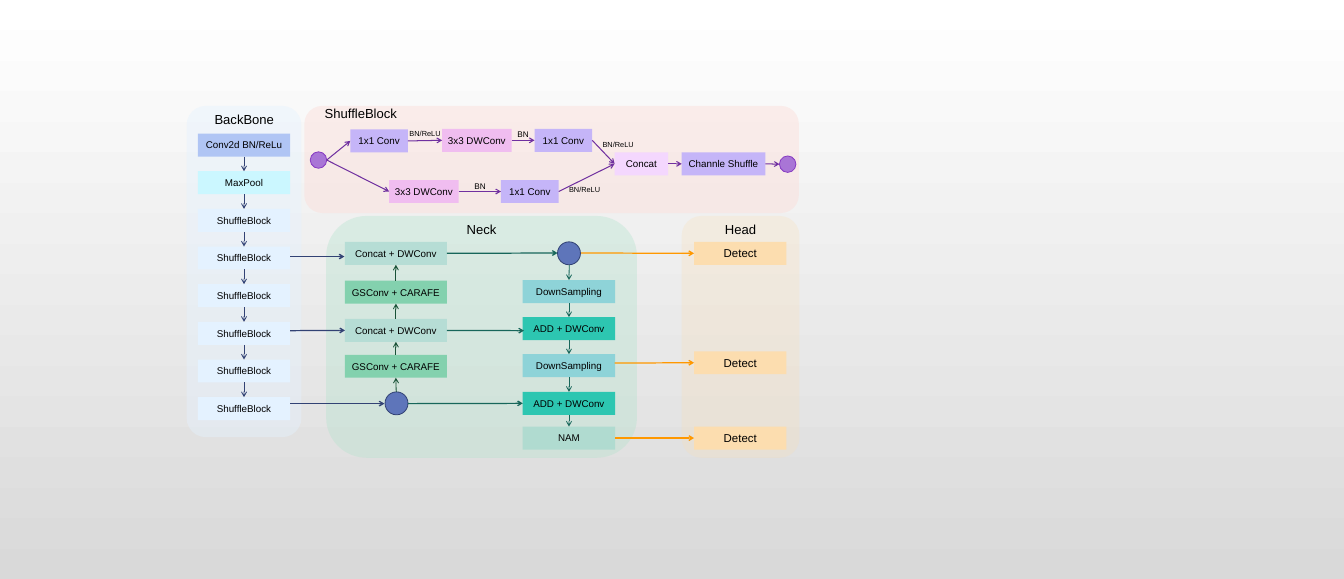
"""Build the network architecture slide: backbone, shuffle block, neck and head."""
from dataclasses import dataclass
from itertools import pairwise
from typing import NamedTuple

from pptx import Presentation, util as u
from pptx.dml import color
from pptx.enum import shapes, text
from pptx.oxml import ns, xmlchemy
from pptx.shapes import autoshape
from pptx.slide import Slide

RGB = color.RGBColor
WHITE, GREY, BLACK = RGB(255, 255, 255), RGB(0xD9, 0xD9, 0xD9), RGB(0, 0, 0)
ROSE, MINT, ICE, SAND = (RGB.from_string(c) for c in ("FDDAD4", "B3E3CD", "E4F2FF", "FCDDAF"))
BLUE, CYAN = RGB(0xB0, 0xC5, 0xF4), RGB(0xCB, 0xF7, 0xFF)
GREEN, SAGE = RGB(0x83, 0xD1, 0xAE), RGB(0xB6, 0xDD, 0xD5)
TEAL, AQUA, JADE = RGB(0x2D, 0xC6, 0xB1), RGB(0x8E, 0xD3, 0xD8), RGB(0xB0, 0xDB, 0xD0)
LILAC, PINK, ORCHID = RGB(0xC5, 0xB5, 0xF8), RGB(0xF0, 0xBD, 0xF0), RGB(0xF4, 0xD7, 0xFE)
INDIGO, NAVY = RGB(0x5E, 0x75, 0xBA), RGB(0x32, 0x42, 0x74)
VIOLET, GRAPE, PURPLE = RGB(0xA9, 0x75, 0xD6), RGB(0x87, 0x3A, 0xC2), RGB(0x70, 0x30, 0xA0)
PINE, FOREST, ORANGE = RGB(0x17, 0x66, 0x5A), RGB(0x19, 0x52, 0x37), RGB(0xFF, 0x98, 0)
TOP, LEFT, BOTTOM, RIGHT = range(4)
BOX_HEIGHT = 0.39


@dataclass(frozen=True)
class Panel:
    x: float
    y: float
    w: float
    h: float
    fill: RGB
    opacity: int


@dataclass(frozen=True)
class Box:
    text: str
    x: float
    y: float
    w: float
    fill: RGB
    size: int = 12


@dataclass(frozen=True)
class Dot:
    x: float
    y: float
    d: float
    fill: RGB
    line: RGB


@dataclass(frozen=True)
class Label:
    text: str
    x: float
    y: float
    w: float
    size: int


class Joint(NamedTuple):
    shape: autoshape.Shape
    side: int


class Point(NamedTuple):
    x: float
    y: float


PANELS = (
    Panel(5.17, 1.8, 8.4, 1.82, ROSE, 40),
    Panel(5.54, 3.67, 5.28, 4.11, MINT, 37),
    Panel(3.17, 1.8, 1.95, 5.63, ICE, 41),
    Panel(11.58, 3.67, 2, 4.11, SAND, 24),
)
DOTS = (
    Dot(6.54, 6.66, 0.39, INDIGO, NAVY),
    Dot(9.47, 4.11, 0.39, INDIGO, NAVY),
    Dot(5.27, 2.58, 0.28, VIOLET, GRAPE),
    Dot(13.24, 2.65, 0.28, VIOLET, GRAPE),
)
LABELS = (
    Label("BackBone", 3.28, 1.84, 1.74, 16),
    Label("ShuffleBlock", 5, 1.74, 2.26, 16),
    Label("Head", 11.45, 3.72, 2.26, 16),
    Label("Neck", 7.05, 3.72, 2.26, 16),
    Label("BN", 7.95, 3.03, 0.41, 10),
    Label("BN", 8.69, 2.15, 0.39, 10),
    Label("BN/ReLU", 6.79, 2.14, 0.86, 9),
    Label("BN/ReLU", 9.5, 3.1, 0.86, 9),
    Label("BN/ReLU", 10.07, 2.33, 0.86, 9),
)
STAGES = [("Conv2d BN/ReLu", BLUE), ("MaxPool", CYAN)] + [("ShuffleBlock", ICE)] * 6
BACKBONE = [Box(t, 3.36, 2.27 + 0.64 * i, 1.57, c) for i, (t, c) in enumerate(STAGES)]
UPWARD = [
    Box("GSConv + CARAFE", 5.86, 6.03, 1.73, GREEN),
    Box("Concat + DWConv", 5.86, 5.42, 1.73, SAGE),
    Box("GSConv + CARAFE", 5.86, 4.77, 1.73, GREEN),
    Box("Concat + DWConv", 5.86, 4.11, 1.73, SAGE),
]
DOWNWARD = [
    Box("DownSampling", 8.88, 4.76, 1.57, AQUA),
    Box("ADD + DWConv", 8.88, 5.39, 1.57, TEAL),
    Box("DownSampling", 8.88, 6.02, 1.57, AQUA),
    Box("ADD + DWConv", 8.88, 6.66, 1.57, TEAL),
    Box("NAM", 8.88, 7.25, 1.57, JADE),
]
HEAD = [Box("Detect", 11.79, y, 1.57, SAND, 14) for y in (4.11, 5.97, 7.25)]
UPPER = [
    Box("1x1 Conv", 5.95, 2.2, 0.98, LILAC),
    Box("3x3 DWConv", 7.51, 2.19, 1.18, PINK),
    Box("1x1 Conv", 9.08, 2.19, 0.98, LILAC),
]
LOWER = [Box("3x3 DWConv", 6.61, 3.06, 1.18, PINK), Box("1x1 Conv", 8.51, 3.06, 0.98, LILAC)]
MERGE = [Box("Concat", 10.44, 2.59, 0.91, ORCHID), Box("Channle Shuffle", 11.58, 2.59, 1.42, LILAC)]


def add_filled(s: Slide, kind: shapes.MSO_SHAPE, x: float, y: float, w: float, h: float,
               fill: RGB, line: RGB | None = None) -> autoshape.Shape:
    sp = s.shapes.add_shape(kind, *map(u.Inches, (x, y, w, h)))
    sp.shadow.inherit = False
    sp.fill.solid()
    sp.fill.fore_color.rgb = fill
    if line is None:
        sp.line.fill.background()
    else:
        sp.line.color.rgb, sp.line.width = line, u.Pt(1)
    return sp


def add_panel(s: Slide, panel: Panel) -> None:
    sp = add_filled(s, shapes.MSO_SHAPE.ROUNDED_RECTANGLE, panel.x, panel.y, panel.w, panel.h, panel.fill)
    clr = sp._element.spPr.find(ns.qn("a:solidFill"))[0]
    clr.append(xmlchemy.OxmlElement("a:alpha"))
    clr[0].set("val", str(panel.opacity * 1000))


def write(tf: text, words: str, size: int) -> None:
    tf.word_wrap = True
    p = tf.paragraphs[0]
    p.text, p.alignment = words, text.PP_ALIGN.CENTER
    p.font.size, p.font.name, p.font.color.rgb = u.Pt(size), "Arial", BLACK


def add_box(s: Slide, box: Box) -> autoshape.Shape:
    sp = add_filled(s, shapes.MSO_SHAPE.RECTANGLE, box.x, box.y, box.w, BOX_HEIGHT, box.fill)
    tf = sp.text_frame
    tf.margin_left = tf.margin_right = tf.margin_top = tf.margin_bottom = u.Inches(0.1)
    tf.vertical_anchor = text.MSO_ANCHOR.MIDDLE
    write(tf, box.text, box.size)
    return sp


def add_label(s: Slide, label: Label) -> None:
    tf = s.shapes.add_textbox(*map(u.Inches, (label.x, label.y, label.w, label.size / 40))).text_frame
    tf.margin_left = tf.margin_right = 0
    write(tf, label.text, label.size)


def add_arrow(s: Slide, begin: Joint | Point, end: Joint | Point, line: RGB, width: float) -> None:
    c = s.shapes.add_connector(shapes.MSO_CONNECTOR.STRAIGHT, 0, 0, 0, 0)
    if isinstance(begin, Joint):
        c.begin_connect(*begin)
    else:
        c.begin_x, c.begin_y = map(u.Inches, begin)
    if isinstance(end, Joint):
        c.end_connect(*end)
    else:
        c.end_x, c.end_y = map(u.Inches, end)
    c.line.color.rgb, c.line.width = line, u.Pt(width)
    tail = xmlchemy.OxmlElement("a:tailEnd")
    tail.set("type", "arrow")
    c.line._get_or_add_ln().append(tail)
    c._element.spPr.append(xmlchemy.OxmlElement("a:effectLst"))


def add_chain(s: Slide, chain: list[autoshape.Shape], out: int, into: int, line: RGB, width: float) -> None:
    for a, b in pairwise(chain):
        add_arrow(s, Joint(a, out), Joint(b, into), line, width)


def main() -> None:
    prs = Presentation()
    prs.slide_width, prs.slide_height = u.Inches(22.83), u.Inches(9.84)
    s = prs.slides.add_slide(prs.slide_layouts[6])
    bg = s.background.fill
    bg.gradient()
    bg.gradient_angle = 270
    for stop, rgb in zip(bg.gradient_stops, (WHITE, GREY)):
        stop.color.rgb = rgb
    for panel in PANELS:
        add_panel(s, panel)
    groups = (BACKBONE, UPWARD, DOWNWARD, HEAD, UPPER, LOWER, MERGE)
    backbone, up, down, head, upper, lower, merge = ([add_box(s, b) for b in g] for g in groups)
    for dot in DOTS:
        add_filled(s, shapes.MSO_SHAPE.OVAL, dot.x, dot.y, dot.d, dot.d, dot.fill, dot.line)

    add_chain(s, backbone, BOTTOM, TOP, NAVY, 1)
    add_chain(s, up, TOP, BOTTOM, FOREST, 1)
    add_chain(s, down, BOTTOM, TOP, PINE, 1)
    for chain in (upper, lower, merge):
        add_chain(s, chain, RIGHT, LEFT, PURPLE, 1.25)
    for begin, end, line, width in (
        (Point(4.93, 4.36), Point(5.85, 4.36), NAVY, 1.5),
        (Point(4.93, 5.62), Joint(up[1], LEFT), NAVY, 1.5),
        (Point(4.93, 6.86), Point(6.53, 6.86), NAVY, 1.5),
        (Point(6.73, 6.66), Joint(up[0], BOTTOM), FOREST, 1),
        (Point(9.67, 4.5), Joint(down[0], TOP), PINE, 1),
        (Joint(up[3], RIGHT), Point(9.47, 4.3), PINE, 1.5),
        (Joint(up[1], RIGHT), Point(8.9, 5.62), PINE, 1.5),
        (Point(6.93, 6.86), Joint(down[3], LEFT), PINE, 1.5),
        (Point(9.87, 4.3), Joint(head[0], LEFT), ORANGE, 1.5),
        (Point(10.44, 6.17), Joint(head[1], LEFT), ORANGE, 1.5),
        (Joint(down[4], RIGHT), Joint(head[2], LEFT), ORANGE, 1.5),
        (Point(5.55, 2.72), Joint(upper[0], LEFT), PURPLE, 1.25),
        (Point(5.55, 2.72), Joint(lower[0], LEFT), PURPLE, 1.25),
        (Joint(upper[2], RIGHT), Joint(merge[0], LEFT), PURPLE, 1.25),
        (Joint(lower[1], RIGHT), Joint(merge[0], LEFT), PURPLE, 1.25),
        (Joint(merge[1], RIGHT), Point(13.24, 2.79), PURPLE, 1.25),
    ):
        add_arrow(s, begin, end, line, width)
    for label in LABELS:
        add_label(s, label)
    prs.save("out.pptx")


if __name__ == "__main__":
    main()
